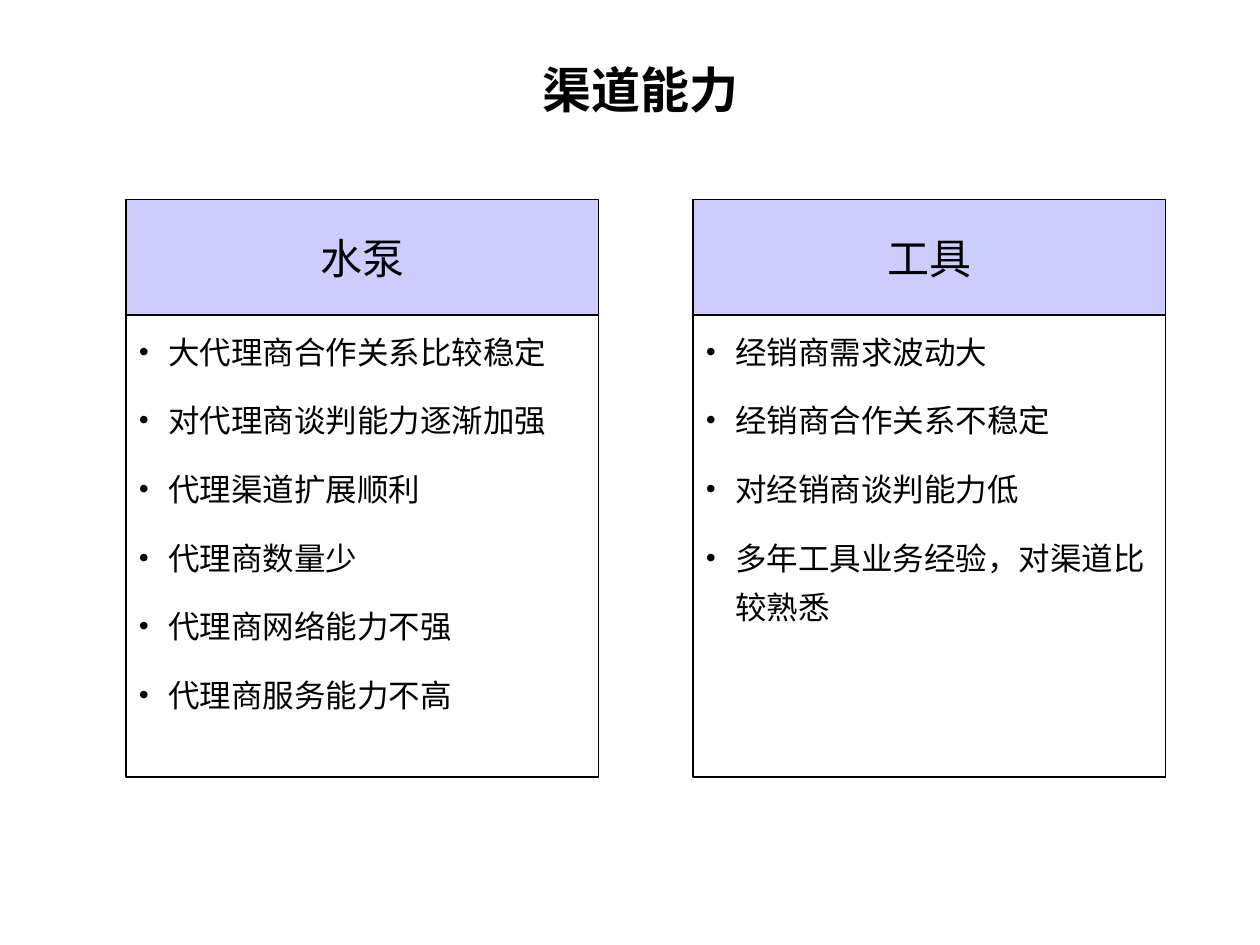
from lxml import etree
from pptx import Presentation
from pptx.dml.color import RGBColor
from pptx.enum import shapes, text
from pptx.oxml import ns
from pptx.util import Pt

BLACK = RGBColor(0x00, 0x00, 0x00)
LAVENDER = RGBColor(0xCC, 0xCC, 0xFF)
FONT = "Times New Roman"

COLUMNS = [
    ("水泵", ["大代理商合作关系比较稳定", "对代理商谈判能力逐渐加强", "代理渠道扩展顺利",
            "代理商数量少", "代理商网络能力不强", "代理商服务能力不高"]),
    ("工具", ["经销商需求波动大", "经销商合作关系不稳定", "对经销商谈判能力低",
            "多年工具业务经验，对渠道比较熟悉"]),
]
LEFT, STEP, WIDTH = 72, 324, 270
HEADER_TOP, HEADER_HEIGHT, BODY_HEIGHT = 114, 66, 264


def add_panel(left, top, height):
    panel = slide.shapes.add_shape(shapes.MSO_SHAPE.RECTANGLE,
                                   Pt(left), Pt(top), Pt(WIDTH), Pt(height))
    panel.shadow.inherit = False
    panel.fill.background()
    panel.line.color.rgb = BLACK
    panel.line.width = Pt(0.75)
    return panel


def style(paragraph, size, alignment):
    paragraph.alignment = alignment
    paragraph.font.name = FONT
    paragraph.font.size = Pt(size)
    paragraph.font.color.rgb = BLACK


prs = Presentation()
prs.slide_width, prs.slide_height = Pt(720), Pt(540)
slide = prs.slides.add_slide(prs.slide_layouts[6])

title = slide.shapes.add_textbox(Pt(60), Pt(30), Pt(612), Pt(42)).text_frame
title.word_wrap = True
title.vertical_anchor = text.MSO_ANCHOR.MIDDLE
title.text = "渠道能力"
style(title.paragraphs[0], 28, text.PP_ALIGN.CENTER)
title.paragraphs[0].font.bold = True

for column, (heading, points) in enumerate(COLUMNS):
    left = LEFT + column * STEP

    body = add_panel(left, HEADER_TOP + HEADER_HEIGHT, BODY_HEIGHT).text_frame
    body.word_wrap = True
    body.vertical_anchor = text.MSO_ANCHOR.TOP
    body.text = "\n".join(points)
    for row, point in enumerate(body.paragraphs):
        point.line_spacing = 1.3
        point.space_before = Pt(11.2 if row else 0)
        properties = point._p.get_or_add_pPr()
        properties.set("marL", str(Pt(17)))
        properties.set("indent", str(-Pt(17)))
        etree.SubElement(properties, ns.qn("a:buFont"), typeface=FONT)
        etree.SubElement(properties, ns.qn("a:buChar"), char="•")
        style(point, 18, text.PP_ALIGN.LEFT)

    header = add_panel(left, HEADER_TOP, HEADER_HEIGHT)
    header.fill.solid()
    header.fill.fore_color.rgb = LAVENDER
    header.text_frame.word_wrap = False
    header.text_frame.vertical_anchor = text.MSO_ANCHOR.MIDDLE
    header.text_frame.text = heading
    style(header.text_frame.paragraphs[0], 24, text.PP_ALIGN.CENTER)

prs.save("out.pptx")
